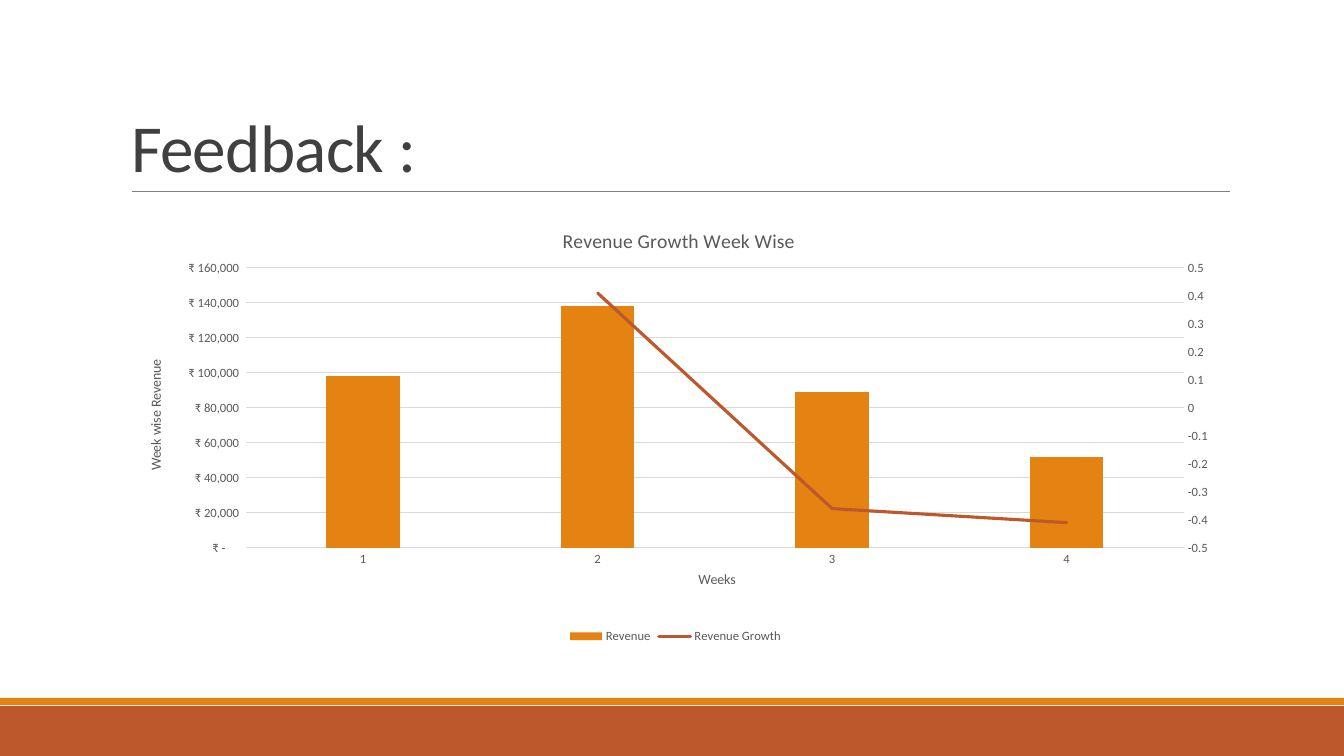
"""Build the weekly revenue feedback slide."""
from copy import deepcopy

from lxml.etree import SubElement
from pptx import Presentation
from pptx.chart.axis import ValueAxis
from pptx.chart.data import CategoryChartData
from pptx.dml.color import RGBColor
from pptx.enum.chart import XL_CHART_TYPE as ChartType, XL_LEGEND_POSITION as LegendPos
from pptx.enum.chart import XL_MARKER_STYLE as Marker, XL_TICK_MARK as Tick
from pptx.enum.shapes import MSO_CONNECTOR as Connector, MSO_SHAPE as Shape
from pptx.enum.text import MSO_ANCHOR as Anchor, MSO_AUTO_SIZE as AutoSize, PP_ALIGN as Align
from pptx.oxml import parse_xml
from pptx.oxml.ns import nsdecls, qn
from pptx.util import Emu, Pt

EMU_PER_PX = 914400 / 100.8
SLIDE_W, SLIDE_H = 1344, 756
CHART_BOX = (121, 204, 1109, 444)
PLOT_BOX = (246, 268, 938, 280)
FONT = "Calibri"
ORANGE = RGBColor(0xE4, 0x83, 0x12)
RUST = RGBColor(0xBD, 0x58, 0x2C)
DARK = RGBColor(0x40, 0x40, 0x40)
LABEL = RGBColor(0x59, 0x59, 0x59)
RULE = RGBColor(0x80, 0x80, 0x80)
GRID = RGBColor(0xD9, 0xD9, 0xD9)
RUPEES = '_ "₹"\\ * #,##0_ ;_ "₹"\\ * \\-#,##0_ ;_ "₹"\\ * "-"??_ ;_ @_ '
REVENUE = (98000, 138000, 89000, 52000)
GROWTH = (None, 0.41, -0.36, -0.41)


def px(*lengths):
    """Turn pixel lengths into EMU."""
    return [Emu(round(length * EMU_PER_PX)) for length in lengths]


def apply(target, **values):
    """Set each given attribute on the target."""
    for name, value in values.items():
        setattr(target, name, value)


def style_font(font, size, color=LABEL):
    """Give a font its face, size and colour."""
    apply(font, name=FONT, size=Pt(size), bold=False)
    font.color.rgb = color


def style_line(line, color, width):
    """Give a line its colour and width in points."""
    line.color.rgb = color
    line.width = Pt(width)


def add_band(slide, top, height, color):
    """Draw a full-width footer band."""
    band = slide.shapes.add_shape(Shape.RECTANGLE, *px(0, top, SLIDE_W, height))
    band.shadow.inherit = False
    band.fill.solid()
    band.fill.fore_color.rgb = color
    band.line.fill.background()


def add_rule(slide, left, right, y):
    """Draw the thin rule beneath the title."""
    rule = slide.shapes.add_connector(Connector.STRAIGHT, *px(left, y, right, y))
    style_line(rule.line, RULE, 0.5)
    SubElement(rule._element.spPr, qn("a:effectLst"))


def set_title(slide, text):
    """Fill and place the slide title."""
    title = slide.shapes.title
    left, top, width, height = px(121, 31, 1109, 160)
    apply(title, left=left, top=top, width=width, height=height)
    frame = title.text_frame
    frame.text = text
    apply(frame, word_wrap=True, auto_size=AutoSize.NONE, vertical_anchor=Anchor.BOTTOM)
    heading = frame.paragraphs[0]
    apply(heading, alignment=Align.LEFT, line_spacing=0.85)
    style_font(heading.runs[0].font, 48, DARK)
    heading.runs[0]._r.get_or_add_rPr().set("spc", "-50")


def place(part, after, left, top, width=None, height=None):
    """Fix a chart part at slide pixels, following the named child."""
    chart_left, chart_top, chart_w, chart_h = CHART_BOX
    shares = {"x": (left - chart_left) / chart_w, "y": (top - chart_top) / chart_h}
    inner = ""
    if width:
        shares.update(w=width / chart_w, h=height / chart_h)
        inner = '<c:layoutTarget val="inner"/>'
    modes = '<c:xMode val="edge"/><c:yMode val="edge"/>'
    sizes = "".join(f'<c:{key} val="{share:.4f}"/>' for key, share in shares.items())
    for old in part.findall(qn("c:layout")):
        part.remove(old)
    layout = parse_xml(f'<c:layout {nsdecls("c")}><c:manualLayout>{inner}{modes}{sizes}'
                       "</c:manualLayout></c:layout>")
    part.insert(part.index(part.find(qn(after))) + 1 if after else 0, layout)


def set_chart_text(title, text, size, left, top):
    """Write and place a chart or axis title."""
    title.text_frame.text = text
    style_font(title.text_frame.paragraphs[0].runs[0].font, size)
    place(title._element, "c:tx", left, top)


def style_axis(axis):
    """Apply the common axis look."""
    apply(axis, major_tick_mark=Tick.NONE, minor_tick_mark=Tick.NONE)
    style_font(axis.tick_labels.font, 9)


def style_axes(chart):
    """Format the week and revenue axes."""
    weeks, revenue = chart.category_axis, chart.value_axis
    for axis in (weeks, revenue):
        style_axis(axis)
    style_line(weeks.format.line, GRID, 0.75)
    revenue.format.line.fill.background()
    style_line(revenue.major_gridlines.format.line, GRID, 0.75)
    apply(revenue, minimum_scale=0, maximum_scale=160000, major_unit=20000)
    apply(revenue.tick_labels, number_format=RUPEES, number_format_is_linked=False)


def add_growth_line(chart):
    """Move the growth series to a line on a right-hand axis."""
    plot_area = chart._chartSpace.chart.plotArea
    bars = plot_area.find(qn("c:barChart"))
    growth = bars.findall(qn("c:ser"))[1]
    for bar_setting in growth.findall(qn("c:invertIfNegative")):
        growth.remove(bar_setting)
    lines = parse_xml(f'<c:lineChart {nsdecls("c")}><c:grouping val="standard"/>'
                      '<c:varyColors val="0"/><c:marker val="1"/>'
                      '<c:axId val="5001"/><c:axId val="5002"/></c:lineChart>')
    lines.insert(2, growth)
    bars.addnext(lines)

    hidden_weeks = deepcopy(plot_area.find(qn("c:catAx")))
    right = deepcopy(plot_area.find(qn("c:valAx")))
    plot_area.find(qn("c:valAx")).addnext(right)
    right.addnext(hidden_weeks)
    settings = (
        (hidden_weeks, {"axId": "5001", "crossAx": "5002", "delete": "1"}),
        (right, {"axId": "5002", "crossAx": "5001", "axPos": "r", "crosses": "max"}),
    )
    for axis, values in settings:
        for tag, value in values.items():
            axis.find(qn(f"c:{tag}")).set("val", value)
    growth_axis = ValueAxis(right)
    apply(growth_axis, has_major_gridlines=False,
          minimum_scale=-0.5, maximum_scale=0.5, major_unit=0.1)
    apply(growth_axis.tick_labels, number_format="General", number_format_is_linked=False)

    growth_series = chart.plots[1].series[0]
    growth_series.smooth = False
    growth_series.marker.style = Marker.NONE
    style_line(growth_series.format.line, RUST, 2.25)
    growth.find(qn("c:spPr")).find(qn("a:ln")).set("cap", "rnd")


def add_revenue_chart(slide):
    """Add the combined revenue and growth chart."""
    weekly = CategoryChartData()
    weekly.categories = ["1", "2", "3", "4"]
    weekly.add_series("Revenue", REVENUE)
    weekly.add_series("Revenue Growth", GROWTH)
    chart = slide.shapes.add_chart(ChartType.COLUMN_CLUSTERED, *px(*CHART_BOX), weekly).chart
    style_font(chart.font, 10)
    bars = chart.plots[0]
    apply(bars, gap_width=219, overlap=-27, vary_by_categories=False)
    bars.series[0].format.fill.solid()
    bars.series[0].format.fill.fore_color.rgb = ORANGE
    style_axes(chart)
    add_growth_line(chart)

    set_chart_text(chart.chart_title, "Revenue Growth Week Wise", 14, 559, 224)
    set_chart_text(chart.category_axis.axis_title, "Weeks", 10, 696, 568)
    revenue_title = chart.value_axis.axis_title
    set_chart_text(revenue_title, "Week wise Revenue", 10, 144, 357)
    rotation = revenue_title._element.xpath(".//a:bodyPr")[0]
    for name, value in {"rot": "-5400000", "vert": "horz"}.items():
        rotation.set(name, value)
    chart.has_legend = True
    apply(chart.legend, position=LegendPos.BOTTOM, include_in_layout=False)
    style_font(chart.legend.font, 9)
    place(chart.legend._element, "c:legendPos", 566, 625)
    place(chart._chartSpace.chart.plotArea, None, *PLOT_BOX)


def main():
    """Assemble and save the slide."""
    deck = Presentation()
    deck.slide_width, deck.slide_height = px(SLIDE_W, SLIDE_H)
    slide = deck.slides.add_slide(deck.slide_layouts[5])
    add_band(slide, 706, 50, RUST)
    add_band(slide, 698, 7, ORANGE)
    add_rule(slide, 132, 1230, 191)
    set_title(slide, "Feedback :")
    add_revenue_chart(slide)
    deck.save("out.pptx")


if __name__ == "__main__":
    main()
